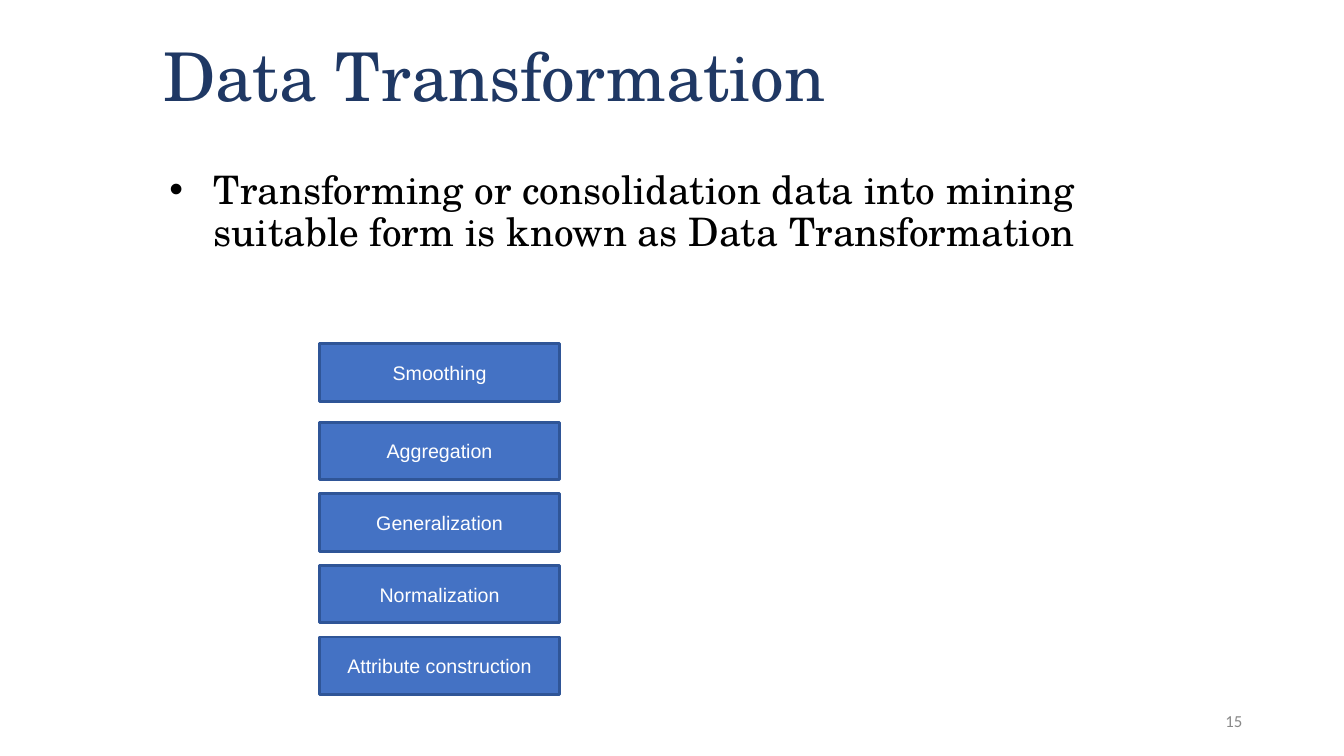
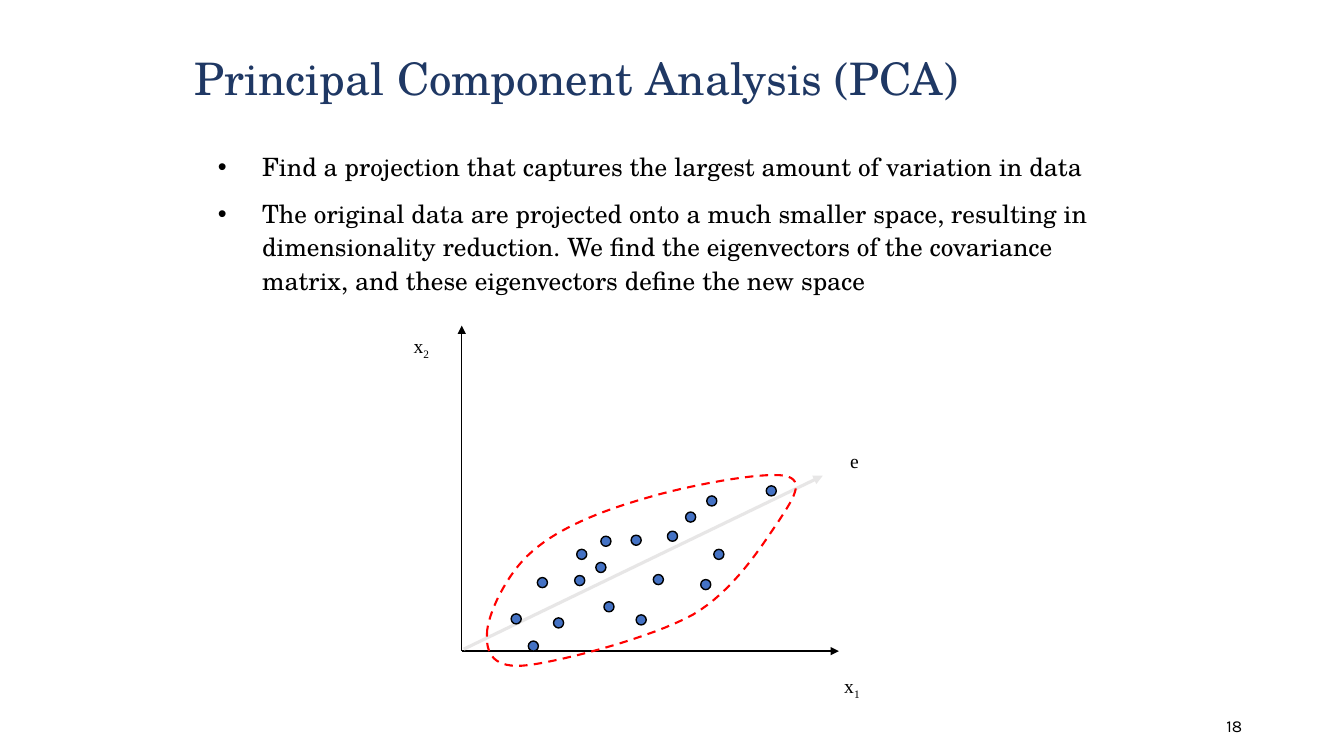
from lxml import etree
from pptx import Presentation
from pptx.dml.color import RGBColor
from pptx.enum.dml import MSO_LINE
from pptx.enum.shapes import MSO_CONNECTOR, MSO_SHAPE
from pptx.enum.text import MSO_ANCHOR, MSO_AUTO_SIZE, PP_ALIGN
from pptx.oxml.ns import qn
from pptx.util import Inches, Pt

LEFT, CENTER, RIGHT = PP_ALIGN.LEFT, PP_ALIGN.CENTER, PP_ALIGN.RIGHT
TOP, MIDDLE, BOTTOM = MSO_ANCHOR.TOP, MSO_ANCHOR.MIDDLE, MSO_ANCHOR.BOTTOM
RECT, OVAL = MSO_SHAPE.RECTANGLE, MSO_SHAPE.OVAL
STRAIGHT, DASH = MSO_CONNECTOR.STRAIGHT, MSO_LINE.DASH
NO_AUTOFIT = MSO_AUTO_SIZE.NONE

COLORS = {
    "title": "1F3864",
    "text": "000000",
    "white": "FFFFFF",
    "gray": "888888",
    "blue": "4472C4",
    "box_line": "2F5597",
    "vector": "E7E6E6",
    "red": "FF0000",
}
SERIF, SANS, LABEL = "TeX Gyre Schola", "Arial", "Times New Roman"

METHODS = ["Smoothing", "Aggregation", "Generalization", "Normalization",
           "Attribute construction"]
BOX_PITCH = 0.71

DOT_SIZE = 0.1
DOTS = [
    (5.33, 5.73), (5.72, 5.45), (5.07, 6.09), (5.91, 5.58), (5.7, 5.71),
    (6.48, 5.7), (6.31, 6.1), (5.99, 5.97), (6.26, 5.31), (7.08, 5.45),
    (7.6, 4.82), (5.49, 6.13), (6.62, 5.27), (7.01, 4.92), (5.96, 5.32),
    (6.8, 5.08), (6.95, 5.75), (5.24, 6.36),
]
CLUSTER_START = (4.83, 6.29)
CLUSTER_CURVES = [
    ((4.83, 6.11), (5.02, 5.69), (5.28, 5.47)),
    ((5.54, 5.24), (5.96, 5.07), (6.38, 4.95)),
    ((6.8, 4.82), (7.55, 4.68), (7.78, 4.72)),
    ((8, 4.76), (7.86, 4.96), (7.71, 5.19)),
    ((7.55, 5.42), (7.28, 5.86), (6.87, 6.1)),
    ((6.45, 6.33), (5.57, 6.56), (5.23, 6.6)),
    ((4.89, 6.64), (4.82, 6.48), CLUSTER_START),
]
CURVE_STEPS = 16


def rgb(name):
    return RGBColor.from_string(COLORS[name])


def place(shape, box):
    shape.left, shape.top, shape.width, shape.height = map(Inches, box)


def style_paragraph(p, font, size, color, align=LEFT, spacing=None):
    p.alignment = align
    if spacing:
        p.line_spacing = spacing
    for r in p.runs:
        r.font.name = font
        r.font.size = Pt(size)
        r.font.color.rgb = rgb(color)


def style_line(line, color, width):
    line.color.rgb = rgb(color)
    line.width = Pt(width)


def add_bullet(p):
    pPr = p._p.get_or_add_pPr()
    pPr.set("marL", str(Inches(0.5)))
    pPr.set("indent", str(Inches(-0.44)))
    color = etree.SubElement(pPr, qn("a:buClr"))
    etree.SubElement(color, qn("a:srgbClr"), val=COLORS["text"])
    etree.SubElement(pPr, qn("a:buFont"), typeface=SANS)
    etree.SubElement(pPr, qn("a:buChar"), char="•")


def set_title(s, text, box, size, anchor):
    title = s.shapes.title
    place(title, box)
    tf = title.text_frame
    tf.text = text
    tf.auto_size = NO_AUTOFIT
    tf.vertical_anchor = anchor
    style_paragraph(tf.paragraphs[0], SERIF, size, "title", spacing=0.9)


def set_bullets(s, items, box, size, spacing):
    body = s.placeholders[1]
    place(body, box)
    tf = body.text_frame
    tf.text = "\n".join(items)
    tf.auto_size = NO_AUTOFIT
    tf.vertical_anchor = TOP
    for p in tf.paragraphs:
        style_paragraph(p, SERIF, size, "text", spacing=spacing)
        p.space_before = Pt(10)
        add_bullet(p)


def add_slide_number(s, number, font, color, anchor):
    sp = s.shapes.add_textbox(*map(Inches, (9.42, 6.95, 3, 0.4)))
    tf = sp.text_frame
    tf.word_wrap = True
    tf.vertical_anchor = anchor
    tf.text = str(number)
    style_paragraph(tf.paragraphs[0], font, 12, color, RIGHT)


def add_filled_shape(s, kind, box, line_color, line_width):
    sp = s.shapes.add_shape(kind, *map(Inches, box))
    sp.shadow.inherit = False
    sp.fill.solid()
    sp.fill.fore_color.rgb = rgb("blue")
    style_line(sp.line, line_color, line_width)
    return sp


def add_method_box(s, text, top):
    sp = add_filled_shape(s, RECT, (3.17, top, 2.38, 0.57), "box_line", 2)
    tf = sp.text_frame
    tf.text = text
    tf.vertical_anchor = MIDDLE
    style_paragraph(tf.paragraphs[0], SANS, 14, "white", CENTER)


def add_arrow(s, start, end, color, width):
    arrow = s.shapes.add_connector(STRAIGHT, *map(Inches, start + end))
    style_line(arrow.line, color, width)
    etree.SubElement(arrow.line._get_or_add_ln(), qn("a:tailEnd"), type="triangle")
    etree.SubElement(arrow._element.spPr, qn("a:effectLst"))


def add_axis_label(s, text, subscript, box):
    sp = s.shapes.add_textbox(*map(Inches, box))
    tf = sp.text_frame
    tf.word_wrap = False
    tf.vertical_anchor = MIDDLE
    p = tf.paragraphs[0]
    p.add_run().text = text
    if subscript:
        r = p.add_run()
        r.text = subscript
        r.font._element.set("baseline", "-25000")
    style_paragraph(p, LABEL, 14, "text", CENTER)


def bezier_points(start, curves):
    """Sample a chain of cubic Bezier curves, leaving out its start point."""
    points = []
    for c1, c2, end in curves:
        for step in range(1, CURVE_STEPS + 1):
            t = step / CURVE_STEPS
            u = 1 - t
            points.append(tuple(
                u**3 * a + 3 * u * u * t * b + 3 * u * t * t * c + t**3 * d
                for a, b, c, d in zip(start, c1, c2, end)))
        start = end
    return points


def add_cluster_outline(s):
    """Draw the loop in EMU, as freeform points are rounded to whole units."""
    builder = s.shapes.build_freeform(*map(Inches, CLUSTER_START))
    builder.add_line_segments([(Inches(x), Inches(y)) for x, y in
                               bezier_points(CLUSTER_START, CLUSTER_CURVES)])
    sp = builder.convert_to_shape()
    sp.shadow.inherit = False
    sp.fill.background()
    style_line(sp.line, "red", 1.5)
    sp.line.dash_style = DASH


def build_transformation(s):
    set_title(s, "Data Transformation", (1.52, 0.07, 10.17, 1.45), 48, MIDDLE)
    set_bullets(s, ["Transforming or consolidation data into mining suitable form "
                    "is known as Data Transformation"],
                (1.52, 1.64, 10.17, 5.12), 28, 0.9)
    add_slide_number(s, 15, "Calibri", "gray", MIDDLE)
    add_method_box(s, METHODS[0], 3.41)
    for i, method in enumerate(METHODS[1:]):
        add_method_box(s, method, 4.19 + i * BOX_PITCH)


def build_pca(s):
    set_title(s, "Principal Component Analysis (PCA)",
              (1.83, 0.17, 9.58, 0.92), 32, BOTTOM)
    set_bullets(s, [
        "Find a projection that captures the largest amount of variation in data",
        "The original data are projected onto a much smaller space, resulting in "
        "dimensionality reduction. We find the eigenvectors of the covariance "
        "matrix, and these eigenvectors define the new space",
    ], (2, 1.42, 9.17, 1.75), 18, 1.1)
    add_slide_number(s, 18, "Karla", "text", BOTTOM)

    origin = (4.58, 6.46)
    add_arrow(s, origin, (4.58, 3.23), "text", 1)
    add_arrow(s, origin, (8.32, 6.46), "text", 1)
    add_arrow(s, (4.6, 6.44), (8.16, 4.72), "vector", 2.25)
    for x, y in DOTS:
        add_filled_shape(s, OVAL, (x, y, DOT_SIZE, DOT_SIZE), "text", 1)
    add_cluster_outline(s)
    add_axis_label(s, "x", "2", (4, 3.28, 0.36, 0.34))
    add_axis_label(s, "x", "1", (8.27, 6.65, 0.36, 0.34))
    add_axis_label(s, "e", "", (8.33, 4.4, 0.29, 0.34))


def main():
    prs = Presentation()
    prs.slide_width, prs.slide_height = Inches(13.33), Inches(7.5)
    for build in (build_transformation, build_pca):
        build(prs.slides.add_slide(prs.slide_layouts[1]))
    prs.save("out.pptx")


if __name__ == "__main__":
    main()
